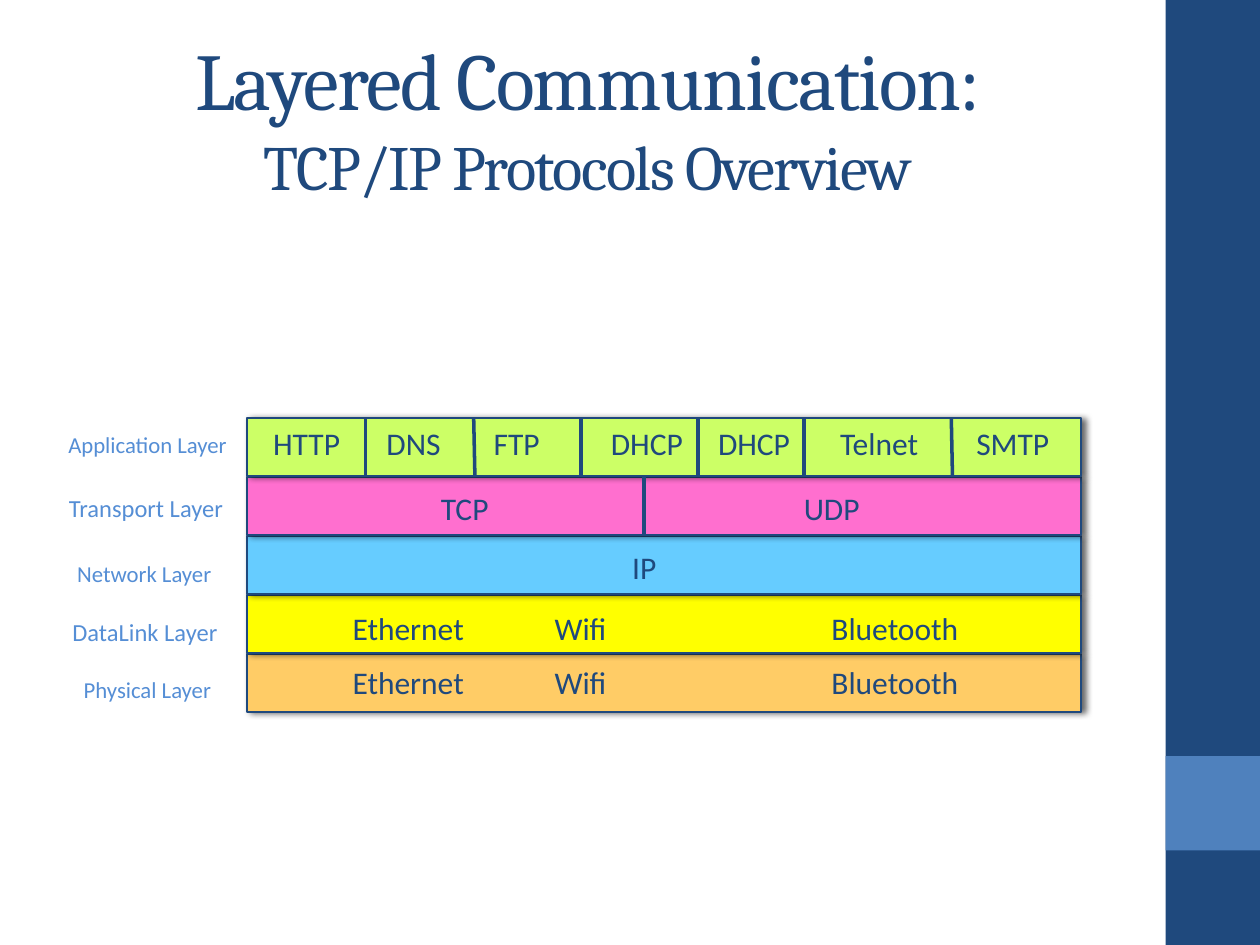
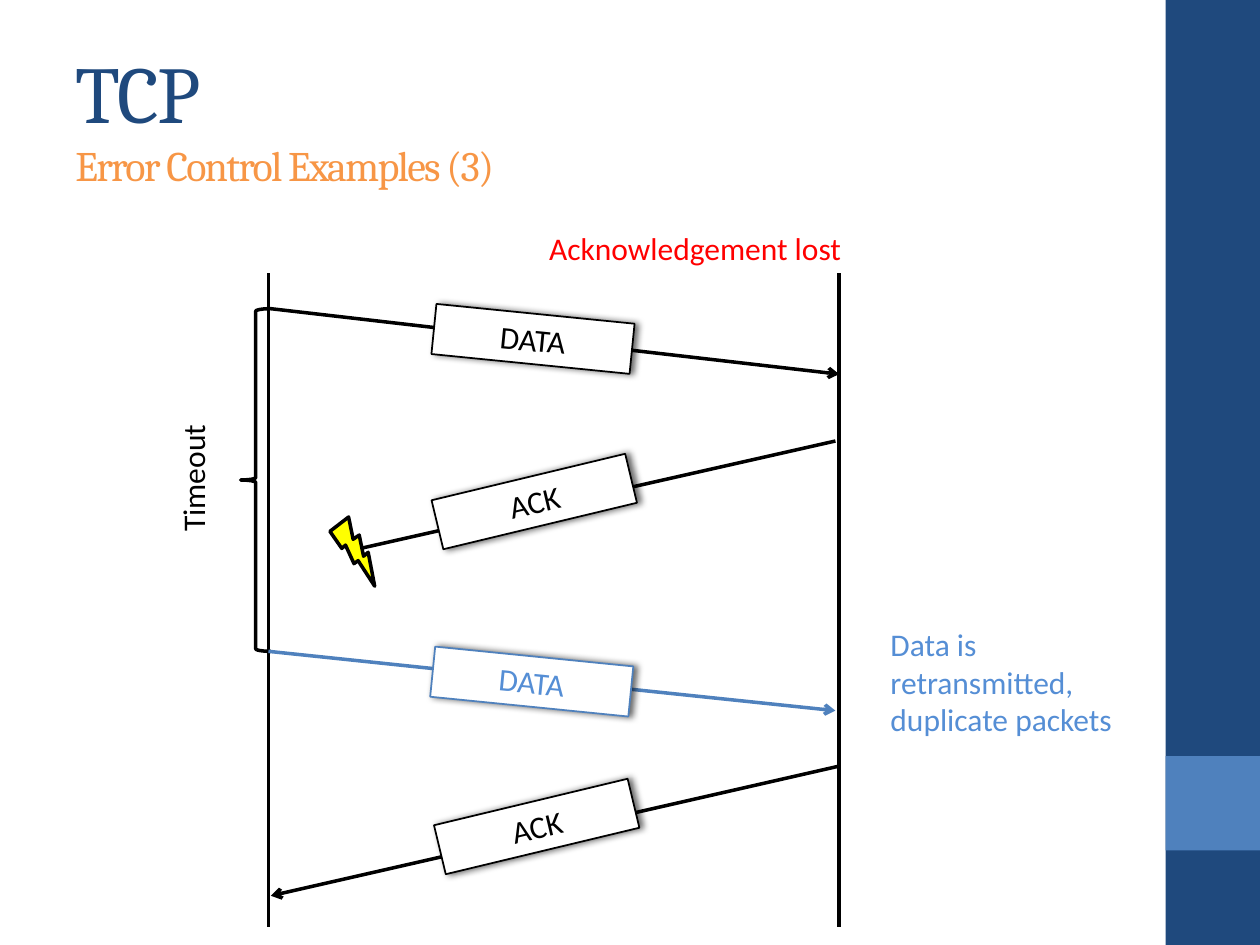
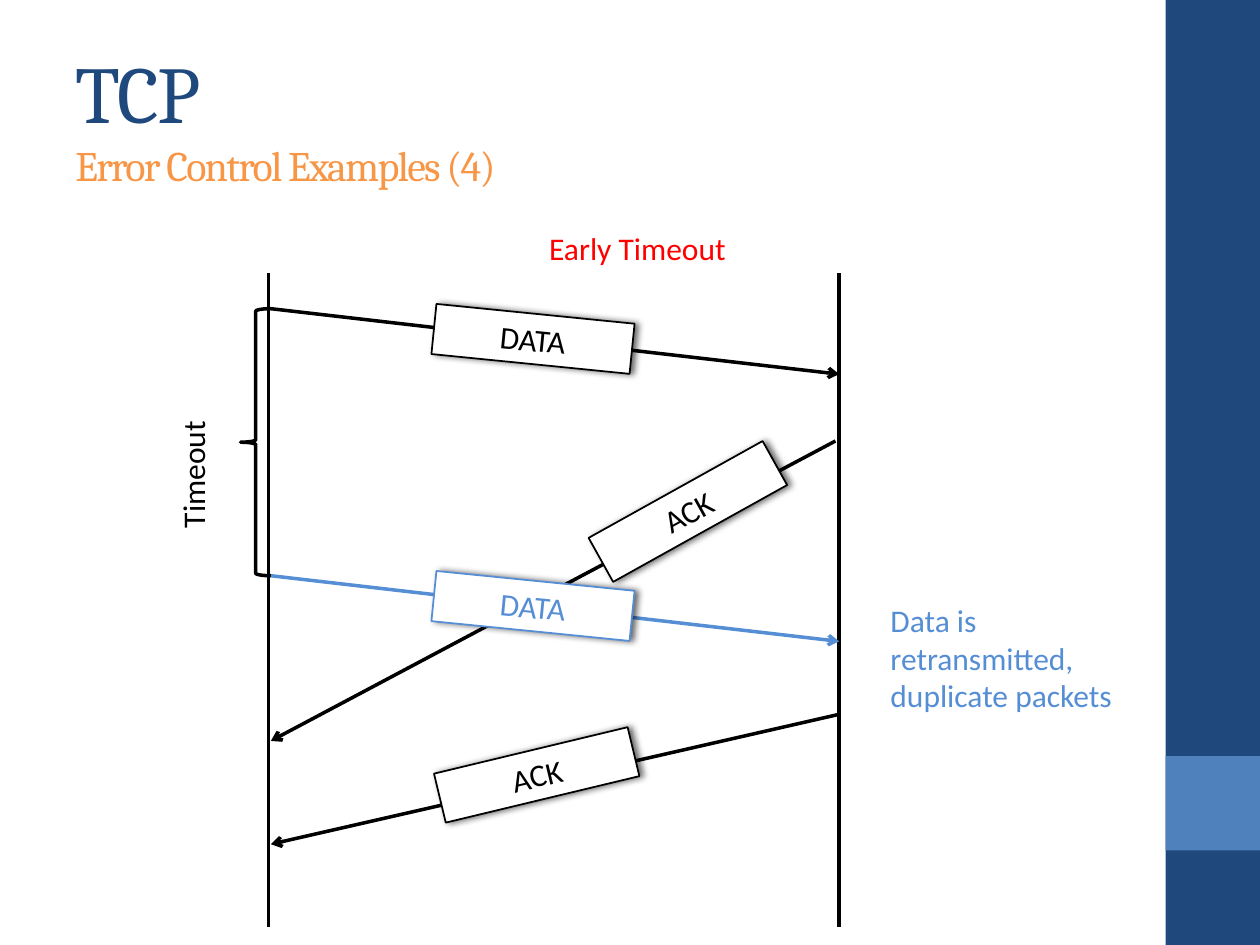
"""Build three slides on layered communication and TCP error control."""
import dataclasses

import pptx
import pptx.dml.color
import pptx.enum.shapes
import pptx.enum.text
import pptx.oxml.ns
import pptx.oxml.xmlchemy
import pptx.util
from lxml import etree

Pt = pptx.util.Pt
qn = pptx.oxml.ns.qn
SHAPES = pptx.enum.shapes.MSO_SHAPE
ALIGN = pptx.enum.text.PP_ALIGN
ANCHOR = pptx.enum.text.MSO_ANCHOR


@dataclasses.dataclass(frozen=True)
class Theme:
    """Colours, fonts and type sizes of the deck."""
    navy: str = "1F497D"
    blue: str = "4F81BD"
    sky: str = "558ED5"
    orange: str = "F79646"
    black: str = "000000"
    white: str = "FFFFFF"
    red: str = "FF0000"
    yellow: str = "FFFF00"
    heading_font: str = "Cambria"
    body_font: str = "Calibri"
    title_size: int = 46
    overview_size: int = 36
    subtitle_size: int = 24
    body_size: int = 18
    thin: int = 1
    thick: int = 2


THEME = Theme()


@dataclasses.dataclass(frozen=True)
class Layer:
    """One row of the protocol stack: label, cells as (text, left, width), dividers as (top x, bottom x)."""
    label: str
    label_center: float
    label_top: float
    label_width: float
    label_size: int
    fill: str
    cell_top: float
    cells: tuple
    dividers: tuple = ()


@dataclasses.dataclass(frozen=True)
class Message:
    """One arrow between the two lifelines with its tilted packet."""
    text: str
    start: tuple
    end: tuple
    corner: tuple
    tilt: float
    ink: str = THEME.black
    stroke: str = THEME.black
    arrives: bool = True


STACK_LEFT, STACK_TOP, STACK_WIDTH = 141.1, 239, 476.6
ROW_HEIGHT, ROW_PITCH = 33.1, 33.7
LINE_HEIGHT = 28.8
SENDER_X, RECEIVER_X = 153.4, 479.5
LIFELINE_TOP, LIFELINE_BOTTOM = 156.2, 529.9
TIMEOUT_TOP = 176.4
PACKET_WIDTH = 113.8
DATA_TILT, ACK_TILT = 5.7, 346.5

LINK_CELLS = (("Ethernet", 194.4, 79.2), ("Wifi", 309.8, 44.6), ("Bluetooth", 468, 87.8))
LAYERS = (
    Layer("Application Layer", 84.2, 242.6, 106.6, 13, "CCFF66", 239,
          (("HTTP", 149, 53.3), ("DNS", 213.8, 46.1), ("FTP", 275, 41), ("DHCP", 342, 56.2),
           ("DHCP", 403.2, 56.2), ("Telnet", 473, 61.2), ("SMTP", 550.8, 56.9)),
          ((208.8, 208.8), (270.7, 271.4), (331.9, 331.9), (398.9, 398.9),
           (459.4, 459.4), (543.6, 544.3))),
    Layer("Transport Layer", 83.5, 277.9, 105.1, 14, "FF6FCF", 275.8,
          (("TCP", 244.8, 42.5), ("UDP", 452.2, 46.8)), ((367.9, 367.9),)),
    Layer("Network Layer", 82.4, 316.1, 92.9, 13, "66CCFF", 309.6, (("IP", 354.2, 28.8),)),
    Layer("DataLink Layer", 82.8, 349.2, 99.4, 14, THEME.yellow, 344.2, LINK_CELLS),
    Layer("Physical Layer", 84.2, 382.3, 89.3, 13, "FFCC66", 375.1, LINK_CELLS),
)

FIRST_DATA = Message("DATA", (154.8, TIMEOUT_TOP), (RECEIVER_X, 213.8), (247.7, 179.3), DATA_TILT)
LOST_ACK_MESSAGES = (
    FIRST_DATA,
    Message("DATA", (SENDER_X, 372.2), (477.4, 406.1), (247, 375.1), DATA_TILT, THEME.sky, THEME.blue),
    Message("ACK", (RECEIVER_X, 437.8), (154.8, 511.9), (249.8, 457.9), ACK_TILT),
    Message("ACK", (477.4, 252), (203.8, 313.9), (248.4, 272.2), ACK_TILT, arrives=False),
)
EARLY_TIMEOUT_MESSAGES = (
    FIRST_DATA,
    Message("ACK", (RECEIVER_X, 408.2), (154.8, 482.4), (249.8, 428.4), ACK_TILT),
    Message("ACK", (477.4, 252), (154.8, 423.4), (336.2, 277.9), 330.9),
    Message("DATA", (154.8, 329), (RECEIVER_X, 366.5), (247.7, 331.9), DATA_TILT, THEME.sky, THEME.sky),
)


def rgb(value):
    """Turn a hex string into a colour."""
    return pptx.dml.color.RGBColor.from_string(value)


def set_line(line, color, width):
    """Give a line its colour and width."""
    line.color.rgb = rgb(color)
    line.width = Pt(width)


def write(frame, text, color, size=THEME.body_size, align=ALIGN.LEFT):
    """Fill a text frame with one paragraph per line of text."""
    for index, words in enumerate(text.split("\n")):
        para = frame.add_paragraph() if index else frame.paragraphs[0]
        para.text = words
        para.alignment = align
        para.font.name = THEME.body_font
        para.font.size = Pt(size)
        para.font.color.rgb = rgb(color)


def add_label(page, text, left, top, width, color, height=LINE_HEIGHT, **style):
    """Add a text box that hugs its text."""
    box = page.shapes.add_textbox(Pt(left), Pt(top), Pt(width), Pt(height))
    box.text_frame.word_wrap = False
    box.text_frame.auto_size = pptx.enum.text.MSO_AUTO_SIZE.SHAPE_TO_FIT_TEXT
    write(box.text_frame, text, color, **style)
    return box


def add_figure(page, kind, left, top, width, height, fill=None, stroke=None, weight=THEME.thin):
    """Add a preset shape without shadow."""
    shape = page.shapes.add_shape(kind, Pt(left), Pt(top), Pt(width), Pt(height))
    shape.shadow.inherit = False
    if fill:
        shape.fill.solid()
        shape.fill.fore_color.rgb = rgb(fill)
    else:
        shape.fill.background()
    if stroke:
        set_line(shape.line, stroke, weight)
    else:
        shape.line.fill.background()
    return shape


def cast_shadow(shape):
    """Let a shape cast a soft shadow to the right."""
    effects = shape._element.spPr.find(qn("a:effectLst"))
    shadow = etree.SubElement(effects, qn("a:outerShdw"), blurRad=str(Pt(4)), dist=str(Pt(2)),
                              dir="0", algn="ctr", rotWithShape="0")
    color = etree.SubElement(shadow, qn("a:srgbClr"), val=THEME.black)
    etree.SubElement(color, qn("a:alpha"), val="60000")


def add_line(page, start, end, color, arrow=False):
    """Add a straight line, with an arrowhead at its end if asked."""
    points = [Pt(value) for value in (*start, *end)]
    line = page.shapes.add_connector(pptx.enum.shapes.MSO_CONNECTOR.STRAIGHT, *points)
    set_line(line.line, color, THEME.thick)
    properties = line._element.spPr
    if arrow:
        etree.SubElement(properties.find(qn("a:ln")), qn("a:tailEnd"), type="arrow")
    etree.SubElement(properties, qn("a:effectLst"))


def add_title(page, title, subtitle, subtitle_size, subtitle_color, align):
    """Add the two-line title."""
    box = page.shapes.add_textbox(Pt(36), Pt(21.6), Pt(599.8), Pt(90))
    box.text_frame.word_wrap = True
    box.text_frame.vertical_anchor = ANCHOR.MIDDLE
    para = box.text_frame.paragraphs[0]
    para.alignment = align
    para.font.name = THEME.heading_font
    lines = ((title, THEME.title_size, THEME.navy), (subtitle, subtitle_size, subtitle_color))
    for index, (words, size, color) in enumerate(lines):
        if index:
            para.add_line_break()
        span = para.add_run()
        span.text = words
        span.font.size = Pt(size)
        span.font.color.rgb = rgb(color)
        span._r.get_or_add_rPr().set("spc", "-100")


def add_page(deck):
    """Add a blank page with the side band."""
    page = deck.slides.add_slide(deck.slide_layouts[6])
    add_figure(page, SHAPES.RECTANGLE, 666, 0, 54, 540, THEME.navy)
    add_figure(page, SHAPES.RECTANGLE, 666, 432, 54, 54, THEME.blue)
    return page


def add_layer_text(page, layer, top):
    """Add the label, dividers and protocol names of one layer."""
    add_label(page, layer.label, layer.label_center - layer.label_width / 2, layer.label_top,
              layer.label_width, THEME.sky, height=layer.label_size + 10,
              size=layer.label_size, align=ALIGN.CENTER)
    for upper, lower in layer.dividers:
        add_line(page, (upper, top), (lower, top + ROW_PITCH), THEME.navy)
    for text, left, width in layer.cells:
        add_label(page, text, left, layer.cell_top, width, THEME.navy)


def add_message(page, message):
    """Add a message arrow and the packet that lies on it."""
    add_line(page, message.start, message.end, message.stroke, message.arrives)
    packet = add_figure(page, SHAPES.RECTANGLE, *message.corner, PACKET_WIDTH, LINE_HEIGHT,
                        THEME.white, message.stroke)
    cast_shadow(packet)
    packet.rotation = message.tilt
    packet.text_frame.vertical_anchor = ANCHOR.MIDDLE
    write(packet.text_frame, message.text, message.ink, align=ALIGN.CENTER)


def add_bolt(page):
    """Add the lightning bolt that marks a lost message."""
    bolt = add_figure(page, SHAPES.LIGHTNING_BOLT, 188.6, 295.9, 30.2, 36,
                      THEME.yellow, THEME.black, THEME.thick)
    bolt.rotation = 293.7
    bolt._element.spPr.find(qn("a:xfrm")).set("flipH", "1")


def build_stack_page(deck):
    """Build the protocol stack overview."""
    page = add_page(deck)
    rows = [(layer, STACK_TOP + index * ROW_PITCH) for index, layer in enumerate(LAYERS)]
    for layer, top in reversed(rows):
        row = add_figure(page, SHAPES.RECTANGLE, STACK_LEFT, top, STACK_WIDTH, ROW_HEIGHT,
                         layer.fill, THEME.navy)
        cast_shadow(row)
    add_title(page, "Layered Communication:", "TCP/IP Protocols Overview",
              THEME.overview_size, THEME.navy, ALIGN.CENTER)
    for layer, top in rows:
        add_layer_text(page, layer, top)


def build_exchange_page(deck, number, heading, heading_width, timeout, timeout_top, note_top, messages):
    """Build one error control example and return its page."""
    page = add_page(deck)
    add_title(page, "TCP", f"Error Control Examples ({number})",
              THEME.subtitle_size, THEME.orange, ALIGN.LEFT)
    for x in (SENDER_X, RECEIVER_X):
        add_line(page, (x, LIFELINE_TOP), (x, LIFELINE_BOTTOM), THEME.black)
    add_label(page, heading, 306.7, 127.4, heading_width, THEME.red)
    add_figure(page, SHAPES.LEFT_BRACE, 137.5, TIMEOUT_TOP, 17.3, timeout,
               stroke=THEME.black, weight=THEME.thick)
    add_label(page, "Timeout ", 72, timeout_top, 76.3, THEME.black).rotation = 270
    add_label(page, "Data is \nretransmitted,\nduplicate packets", 501.8, note_top, 144,
              THEME.sky, height=72.7)
    for message in messages:
        add_message(page, message)
    return page


def main():
    """Build and save the deck."""
    deck = pptx.Presentation()
    deck.slide_width, deck.slide_height = Pt(720), Pt(540)
    build_stack_page(deck)
    lost_page = build_exchange_page(deck, 3, "Acknowledgement lost", 184.3, 195.8, 258.5, 353.5,
                                    LOST_ACK_MESSAGES)
    add_bolt(lost_page)
    build_exchange_page(deck, 4, "Early Timeout", 116.6, 152.6, 256.3, 339.8,
                        EARLY_TIMEOUT_MESSAGES)
    deck.save("out.pptx")


main()
